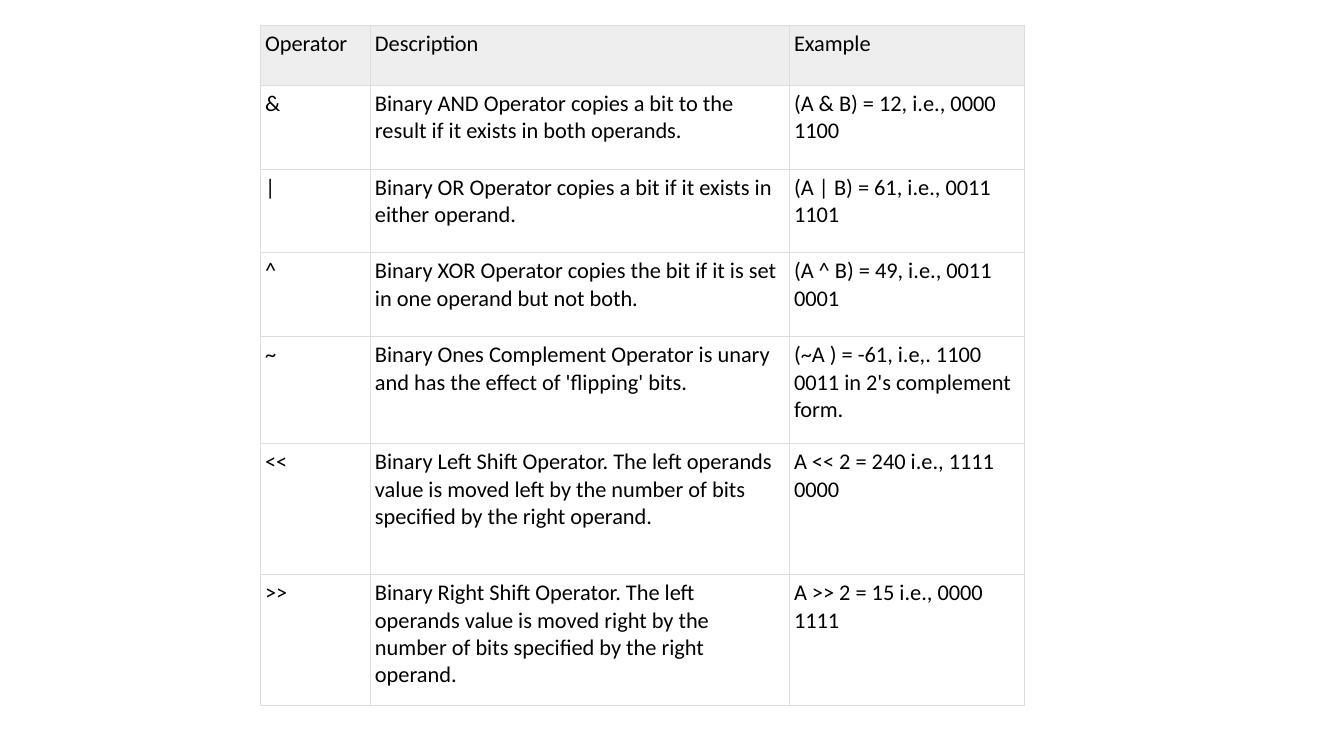
import dataclasses

import lxml.etree
import pptx
import pptx.dml.color
import pptx.oxml.ns
import pptx.util

Cm, Pt = pptx.util.Cm, pptx.util.Pt
RGB = pptx.dml.color.RGBColor.from_string


@dataclasses.dataclass(frozen=True)
class Theme:
    """Colours, font and sizes of the slide."""
    font: str = "Calibri"
    size: float = 16
    text: str = "000000"
    header_fill: str = "EEEEEE"
    border: str = "DDDDDD"
    border_width: float = 0.75
    inset: float = 0.12


THEME = Theme()

COLUMN_WIDTHS = (2.77, 10.56, 5.93)
ROW_HEIGHTS = (1.51, 2.11, 2.11, 2.11, 2.7, 3.3, 3.3)
OPERATORS = (
    ("Operator", "Description", "Example"),
    ("&", "Binary AND Operator copies a bit to the result if it exists in both operands.",
     "(A & B) = 12, i.e., 0000 1100"),
    ("|", "Binary OR Operator copies a bit if it exists in either operand.",
     "(A | B) = 61, i.e., 0011 1101"),
    ("^", "Binary XOR Operator copies the bit if it is set in one operand but not both.",
     "(A ^ B) = 49, i.e., 0011 0001"),
    ("~", "Binary Ones Complement Operator is unary and has the effect of 'flipping' bits.",
     "(~A ) = -61, i.e,. 1100 0011 in 2's complement form."),
    ("<<", "Binary Left Shift Operator. The left operands value is moved left by the number "
     "of bits specified by the right operand.",
     "A << 2 = 240 i.e., 1111 0000"),
    (">>", "Binary Right Shift Operator. The left operands value is moved right by the number "
     "of bits specified by the right operand.",
     "A >> 2 = 15 i.e., 0000 1111"),
)


def add_borders(cell):
    """Draw a thin line on all four sides of a cell."""
    qn = pptx.oxml.ns.qn
    tc_pr = cell._tc.get_or_add_tcPr()
    for side in ("a:lnL", "a:lnR", "a:lnT", "a:lnB"):
        ln = lxml.etree.SubElement(tc_pr, qn(side), w=str(Pt(THEME.border_width)))
        fill = lxml.etree.SubElement(ln, qn("a:solidFill"))
        lxml.etree.SubElement(fill, qn("a:srgbClr"), val=THEME.border)


def format_cell(cell, text, is_header):
    """Write the text of a cell and set its insets, borders, fill and font."""
    cell.margin_left = cell.margin_right = Cm(THEME.inset)
    cell.margin_top = cell.margin_bottom = Cm(THEME.inset)
    add_borders(cell)
    if is_header:
        cell.fill.solid()
        cell.fill.fore_color.rgb = RGB(THEME.header_fill)
    else:
        cell.fill.background()
    p = cell.text_frame.paragraphs[0]
    p.text = text
    font = p.runs[0].font
    font.name, font.size, font.bold = THEME.font, Pt(THEME.size), False
    font.color.rgb = RGB(THEME.text)


def add_operator_table(s, left, top, widths, heights):
    """Add the operator table at the given corner, with sizes in centimetres."""
    frame = s.shapes.add_table(len(heights), len(widths), Cm(left), Cm(top),
                               Cm(sum(widths)), Cm(sum(heights)))
    table = frame.table
    table.first_row = table.horz_banding = False
    for column, width in zip(table.columns, widths):
        column.width = Cm(width)
    for i, (row, height) in enumerate(zip(table.rows, heights)):
        row.height = Cm(height)
        for cell, text in zip(row.cells, OPERATORS[i]):
            format_cell(cell, text, is_header=i == 0)


def main():
    """Build the slide and save it."""
    prs = pptx.Presentation()
    prs.slide_width, prs.slide_height = Cm(33.87), Cm(19.05)
    s = prs.slides.add_slide(prs.slide_layouts.get_by_name("Blank"))
    add_operator_table(s, 6.56, 0.64, COLUMN_WIDTHS, ROW_HEIGHTS)
    prs.save("out.pptx")


main()
